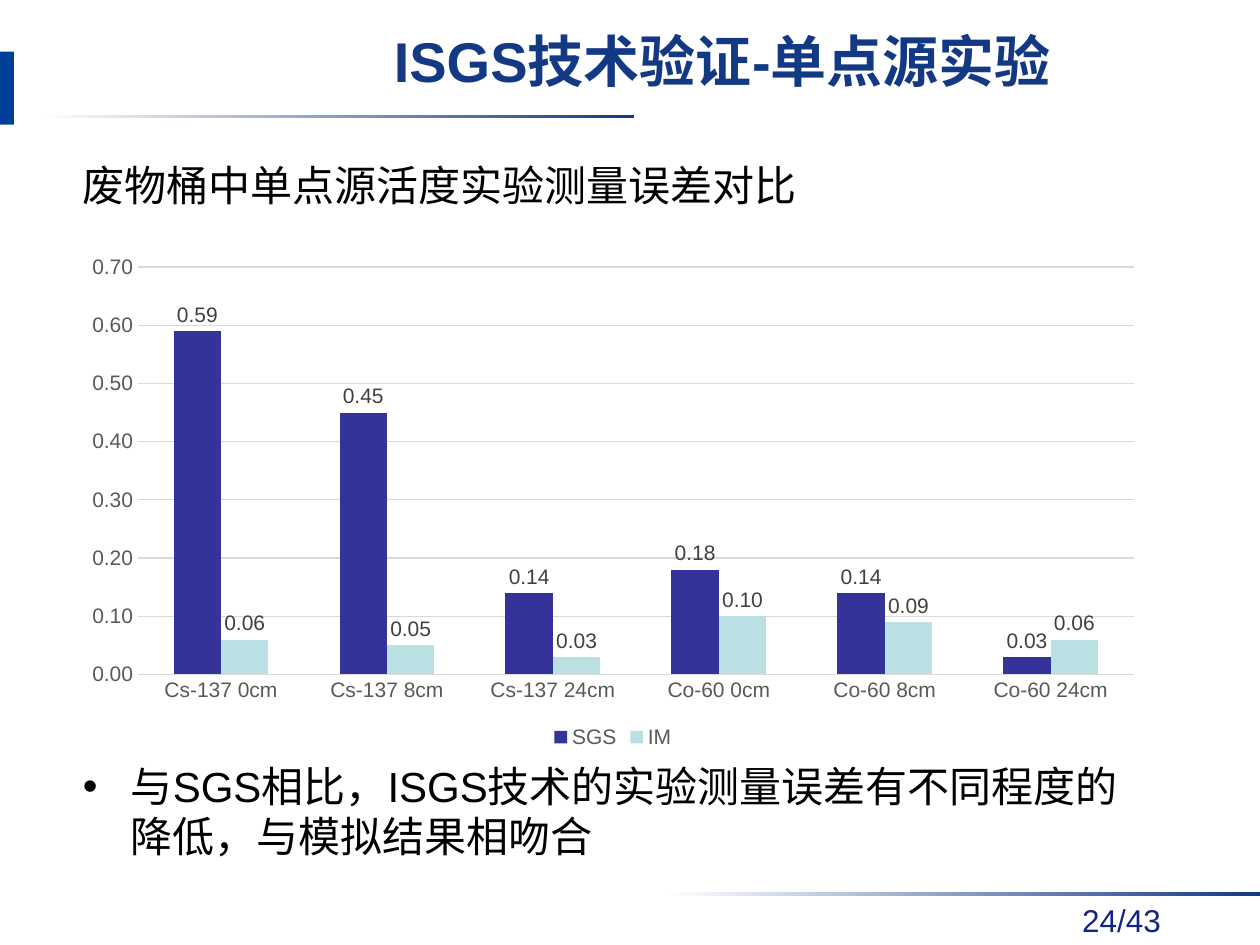
from lxml import etree
from pptx import Presentation
from pptx.chart.data import CategoryChartData
from pptx.dml.color import RGBColor
from pptx.enum.chart import XL_CHART_TYPE, XL_LABEL_POSITION, XL_LEGEND_POSITION, XL_TICK_MARK
from pptx.enum.shapes import MSO_SHAPE
from pptx.enum.text import MSO_ANCHOR, PP_ALIGN
from pptx.oxml.ns import qn
from pptx.util import Inches, Pt

RECTANGLE = MSO_SHAPE.RECTANGLE
COLUMNS = XL_CHART_TYPE.COLUMN_CLUSTERED
OUTSIDE_END = XL_LABEL_POSITION.OUTSIDE_END
BOTTOM = XL_LEGEND_POSITION.BOTTOM
NO_TICK = XL_TICK_MARK.NONE
TOP, MIDDLE = MSO_ANCHOR.TOP, MSO_ANCHOR.MIDDLE
LEFT, CENTER = PP_ALIGN.LEFT, PP_ALIGN.CENTER

NAVY = RGBColor(0x13, 0x39, 0x84)
PAGE_BLUE = RGBColor(0x13, 0x25, 0x84)
ACCENT = RGBColor(0x00, 0x40, 0x98)
WHITE = RGBColor(0xFF, 0xFF, 0xFF)
BLACK = RGBColor(0x00, 0x00, 0x00)
AXIS_GRAY = RGBColor(0x59, 0x59, 0x59)
LABEL_GRAY = RGBColor(0x40, 0x40, 0x40)
GRID_GRAY = RGBColor(0xD9, 0xD9, 0xD9)
INDIGO = RGBColor(0x33, 0x33, 0x99)
PALE_TEAL = RGBColor(0xBB, 0xE0, 0xE3)

LATIN, CHINESE = "Arial", "Noto Sans CJK SC"
WIDTH, HEIGHT = Inches(10), Inches(7.5)
GRID_COLUMNS, GRID_ROWS = 100, 75
BODY_LEFT, BODY_WIDTH = 5.6, 86.1

CATEGORIES = [f"{source} {offset}cm" for source in ("Cs-137", "Co-60") for offset in (0, 8, 24)]
ERRORS = {
    "SGS": (INDIGO, (0.59, 0.45, 0.14, 0.18, 0.14, 0.03)),
    "IM": (PALE_TEAL, (0.06, 0.05, 0.03, 0.1, 0.09, 0.06)),
}


def grid_box(column, row, columns, rows):
    """Return left, top, width and height for a box given in grid units."""
    across, down = WIDTH / GRID_COLUMNS, HEIGHT / GRID_ROWS
    return int(column * across), int(row * down), int(columns * across), int(rows * down)


def style(font, color, size, name=LATIN, bold=False):
    """Apply the given format to a font."""
    for key, value in {"size": Pt(size), "name": name, "bold": bold}.items():
        setattr(font, key, value)
    font.color.rgb = color


def add_bar(slide, box):
    """Add a plain rectangle without line or shadow and return its fill."""
    bar = slide.shapes.add_shape(RECTANGLE, *box)
    bar.shadow.inherit = False
    bar.line.fill.background()
    return bar.fill


def add_fading_rule(slide, box):
    """Add a thin rule that fades in from white to navy."""
    fill = add_bar(slide, box)
    fill.gradient()
    fill.gradient_angle = 0
    for stop, color, position in zip(fill.gradient_stops, (WHITE, NAVY), (0, 1)):
        stop.color.rgb = color
        stop.position = position


def add_text(slide, box, words, color, size, name=LATIN, bold=False,
             align=LEFT, anchor=MIDDLE, wrap=True):
    """Add one paragraph of text in the box and return the paragraph."""
    frame = slide.shapes.add_textbox(*box).text_frame
    frame_format = {"word_wrap": wrap, "vertical_anchor": anchor,
                    "margin_top": Inches(0.05), "margin_bottom": Inches(0.05)}
    for key, value in frame_format.items():
        setattr(frame, key, value)
    paragraph = frame.paragraphs[0]
    paragraph.alignment = align
    run = paragraph.add_run()
    run.text = words
    style(run.font, color, size, name, bold)
    etree.SubElement(run.font._element, qn("a:ea"), typeface=CHINESE)
    return paragraph


def add_bulleted_text(slide, box, words):
    """Add a bulleted body paragraph with a hanging indent."""
    paragraph = add_text(slide, box, words, BLACK, 24)
    properties = paragraph._p.get_or_add_pPr()
    indent = Inches(0.38)
    for key, value in {"marL": indent, "indent": -indent}.items():
        properties.set(key, str(value))
    etree.SubElement(properties, qn("a:buFont"), typeface=LATIN)
    etree.SubElement(properties, qn("a:buChar"), char="•")


def add_error_chart(slide, box):
    """Add the clustered columns of measurement errors."""
    errors = CategoryChartData(number_format="0.00")
    errors.categories = CATEGORIES
    for method, (_, values) in ERRORS.items():
        errors.add_series(method, values)
    chart = slide.shapes.add_chart(COLUMNS, *box, errors).chart
    style(chart.font, BLACK, 10)
    chart.has_title = False
    chart.has_legend = True
    chart.legend.position = BOTTOM
    chart.legend.include_in_layout = False
    style(chart.legend.font, AXIS_GRAY, 12)

    for axis in (chart.category_axis, chart.value_axis):
        axis.major_tick_mark = axis.minor_tick_mark = NO_TICK
        axis.format.line.fill.background()
        style(axis.tick_labels.font, AXIS_GRAY, 12)
    error_axis = chart.value_axis
    for key, value in {"minimum_scale": 0, "maximum_scale": 0.7, "major_unit": 0.1}.items():
        setattr(error_axis, key, value)
    error_axis.tick_labels.number_format = "0.00"
    error_axis.tick_labels.number_format_is_linked = False
    gridline = error_axis.major_gridlines.format.line
    gridline.color.rgb = GRID_GRAY
    gridline.width = Pt(0.75)

    plot = chart.plots[0]
    for key, value in {"gap_width": 150, "overlap": 0, "vary_by_categories": False}.items():
        setattr(plot, key, value)
    label_format = {"show_value": True, "position": OUTSIDE_END,
                    "number_format": "0.00", "number_format_is_linked": False}
    for series, (color, _) in zip(plot.series, ERRORS.values()):
        series.format.fill.solid()
        series.format.fill.fore_color.rgb = color
        for key, value in label_format.items():
            setattr(series.data_labels, key, value)
        style(series.data_labels.font, LABEL_GRAY, 12)


def add_header(slide):
    """Add the accent block, the upper rule and the title."""
    add_fading_rule(slide, grid_box(3.1, 9.1, 47.2, 0.3))
    accent = add_bar(slide, grid_box(0, 4.1, 1.1, 5.8))
    accent.solid()
    accent.fore_color.rgb = ACCENT
    add_text(slide, grid_box(14.7, 1.6, 85.3, 8.3), "ISGS技术验证-单点源实验",
             NAVY, 32, bold=True, align=CENTER, anchor=TOP)


def add_body(slide):
    """Add the heading, the chart and the conclusion in one column."""
    add_text(slide, grid_box(BODY_LEFT, 12.2, BODY_WIDTH, 5),
             "废物桶中单点源活度实验测量误差对比", BLACK, 24, CHINESE)
    add_error_chart(slide, grid_box(BODY_LEFT, 19.5, BODY_WIDTH, 40.3))
    add_bulleted_text(slide, grid_box(BODY_LEFT, 59.8, BODY_WIDTH, 9.1),
                      "与SGS相比，ISGS技术的实验测量误差有不同程度的降低，与模拟结果相吻合")


def add_footer(slide):
    """Add the lower rule and the page number."""
    add_fading_rule(slide, grid_box(52.8, 70.8, 47.2, 0.3))
    add_text(slide, grid_box(84.9, 71, 8.5, 4), "24/43", PAGE_BLUE, 18,
             anchor=TOP, wrap=False)


def main():
    """Build the slide and save it."""
    deck = Presentation()
    deck.slide_width, deck.slide_height = WIDTH, HEIGHT
    slide = deck.slides.add_slide(deck.slide_layouts[6])
    for add_region in (add_header, add_body, add_footer):
        add_region(slide)
    deck.save("out.pptx")


if __name__ == "__main__":
    main()
